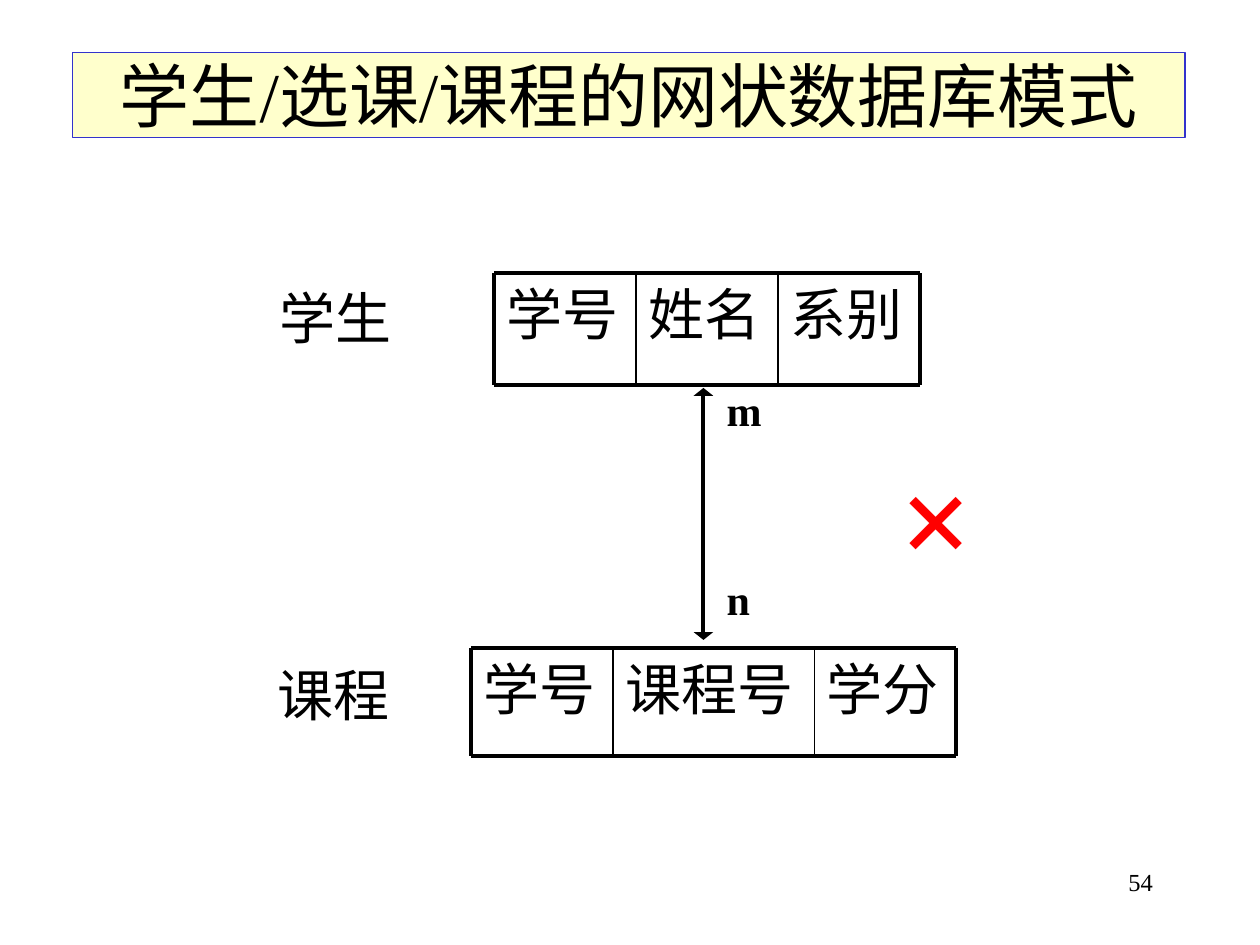
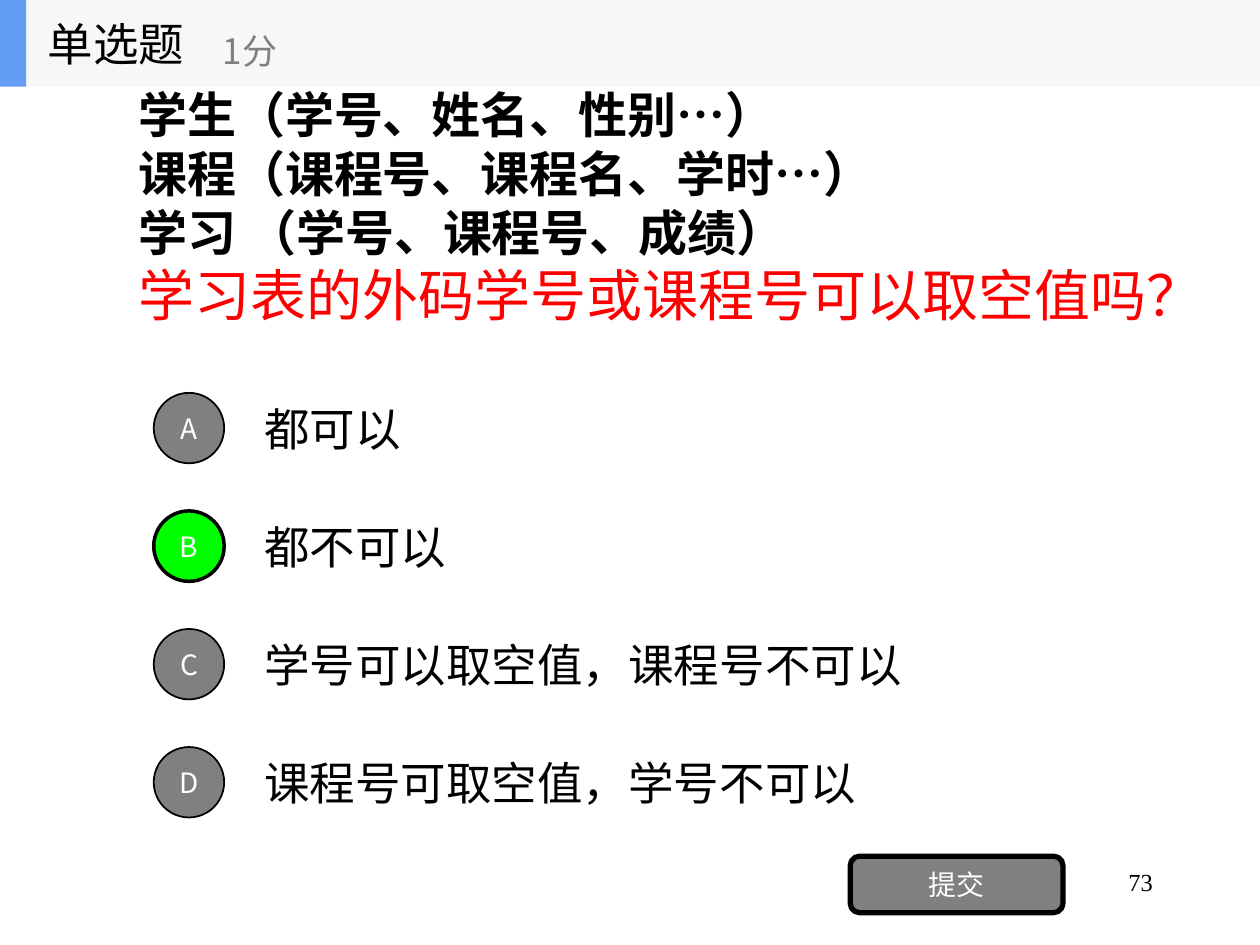
from itertools import accumulate

from lxml import etree
from pptx import Presentation
from pptx.dml.color import RGBColor
from pptx.enum.shapes import MSO_CONNECTOR as CONN, MSO_SHAPE as SHAPE
from pptx.enum.text import MSO_ANCHOR as ANCHOR, PP_ALIGN as ALIGN
from pptx.oxml.ns import qn
from pptx.util import Cm, Pt

SERIF = "Times New Roman"
SANS = "Noto Sans CJK SC"
BLACK, WHITE, GREY, RED, GREEN = "000000", "FFFFFF", "808080", "FF0000", "00FF00"
CREAM, INDIGO, BAND, ACCENT = "FFFFCC", "3333CC", "F6F7F8", "639EF4"
LINE_HEIGHT = 1.2


def rgb(value):
    return RGBColor.from_string(value)


class Deck:
    def __init__(self):
        self.prs = Presentation()
        self.prs.slide_width, self.prs.slide_height = Cm(25.4), Cm(19.05)
        self.s = None

    def slide(self, number):
        self.s = self.prs.slides.add_slide(self.prs.slide_layouts[6])
        self.text((18.21, 17.35, 5.28, 1.27), number, 14, align=ALIGN.RIGHT)

    def style(self, p, text, size, font=SERIF, color=BLACK, bold=False, align=ALIGN.LEFT):
        p.text = text
        p.alignment = align
        p.line_spacing = Pt(round(size * LINE_HEIGHT, 1))
        f = p.font
        f.size, f.name, f.bold = Pt(size), font, bold
        f.color.rgb = rgb(color)
        defaults = p._p.pPr.find(qn("a:defRPr"))
        etree.SubElement(defaults, qn("a:ea"), typeface=SANS)

    def frame(self, sp, anchor, inset):
        tf = sp.text_frame
        tf.word_wrap = True
        tf.vertical_anchor = anchor
        if not inset:
            tf.margin_left = tf.margin_right = tf.margin_top = tf.margin_bottom = 0
        return tf

    def text(self, box, text, size, anchor=ANCHOR.TOP, inset=True, **look):
        sp = self.s.shapes.add_textbox(*map(Cm, box))
        tf = self.frame(sp, anchor, inset)
        self.style(tf.paragraphs[0], text, size, **look)
        return tf

    def add_line(self, tf, text, size, **look):
        self.style(tf.add_paragraph(), text, size, **look)

    def shape(self, kind, box, fill, line=None, width=1):
        sp = self.s.shapes.add_shape(kind, *map(Cm, box))
        sp.shadow.inherit = False
        sp.fill.solid()
        sp.fill.fore_color.rgb = rgb(fill)
        if line:
            sp.line.color.rgb = rgb(line)
            sp.line.width = Pt(width)
        else:
            sp.line.fill.background()
        return sp

    def title(self, text):
        sp = self.shape(SHAPE.RECTANGLE, (1.46, 1.06, 22.43, 1.72), CREAM, INDIGO, 0.75)
        tf = self.frame(sp, ANCHOR.TOP, False)
        self.style(tf.paragraphs[0], text, 40, align=ALIGN.CENTER)

    def button(self, kind, box, text, fill=GREY, width=1):
        sp = self.shape(kind, box, fill, BLACK, width)
        tf = self.frame(sp, ANCHOR.MIDDLE, False)
        self.style(tf.paragraphs[0], text, 16, font=SANS, color=WHITE, align=ALIGN.CENTER)

    def rule(self, x1, y1, x2, y2, width=2.25):
        c = self.s.shapes.add_connector(CONN.STRAIGHT, Cm(x1), Cm(y1), Cm(x2), Cm(y2))
        c.line.color.rgb = rgb(BLACK)
        c.line.width = Pt(width)
        etree.SubElement(c._element.spPr, qn("a:effectLst"))
        return c

    def double_arrow(self, x, top, bottom):
        ln = self.rule(x, top, x, bottom).line._get_or_add_ln()
        for end in ("headEnd", "tailEnd"):
            etree.SubElement(ln, qn(f"a:{end}"), type="triangle", w="lg", len="sm")

    def record(self, left, top, height, fields):
        edges = list(accumulate((w for _, w in fields), initial=left))
        right, bottom = edges[-1], top + height
        for (name, width), x in zip(fields, edges):
            self.text((x, top, width, height), name, 32)
        for y in (top, bottom):
            self.rule(left, y, right, y)
        for x in edges:
            self.rule(x, top, x, bottom, 2.25 if x in (left, right) else 1)

    def question_header(self, kind, points):
        height = 1.75
        self.shape(SHAPE.RECTANGLE, (0, 0, 25.4, height), BAND)
        self.shape(SHAPE.RECTANGLE, (0, 0, 0.53, height), ACCENT)
        self.text((0.71, 0, 5.28, height), kind, 26, ANCHOR.MIDDLE, font=SANS)
        self.text((4.24, 0.3, 6.35, 1.42), points, 20, ANCHOR.MIDDLE, font=SANS, color=GREY)

    def options(self, choices, answer):
        top, pitch, height, circle = 7.74, 2.38, 1.78, 1.42
        for i, (letter, choice) in enumerate(zip("ABCD", choices)):
            y = top + i * pitch
            right = letter == answer
            self.text((5.08, y, 17.78, height), choice, 26, ANCHOR.MIDDLE, font=SANS)
            self.button(SHAPE.OVAL, (3.1, y + (height - circle) / 2, circle, circle), letter,
                        GREEN if right else GREY, 2 if right else 1)


def network_schema(deck):
    deck.slide("54")
    deck.title("学生/选课/课程的网状数据库模式")
    for box, name in (((5.5, 5.72, 2.54, 1.35), "学生"), ((5.28, 13.31, 2.87, 1.35), "课程")):
        deck.text(box, name, 32, inset=False, align=ALIGN.CENTER)
    deck.record(9.96, 5.51, 2.26, [("学号", 2.86), ("姓名", 2.86), ("系别", 2.86)])
    deck.record(9.5, 13.06, 2.18, [("学号", 2.86), ("课程号", 4.06), ("学分", 2.86)])
    deck.double_arrow(14.18, 7.82, 12.9)
    for y, count in ((7.62, "m"), (11.43, "n")):
        deck.text((14.4, y, 1.27, 1.27), count, 24, bold=True)
    deck.text((17.91, 8.74, 3.81, 3.3), "×", 72, color=RED, bold=True)


def foreign_key_question(deck):
    deck.slide("73")
    tf = deck.text((2.54, 1.19, 21.84, 5.94), "学生（学号、姓名、性别…）", 28,
                   ANCHOR.MIDDLE, bold=True)
    for relation in ("课程（课程号、课程名、学时…）", "学习 （学号、课程号、成绩）"):
        deck.add_line(tf, relation, 28, bold=True)
    deck.add_line(tf, "学习表的外码学号或课程号可以取空值吗？", 32, font=SANS, color=RED)
    deck.options(["都可以", "都不可以", "学号可以取空值，课程号不可以",
                  "课程号可取空值，学号不可以"], answer="B")
    deck.button(SHAPE.ROUNDED_RECTANGLE, (17.14, 17.26, 4.29, 1.14), "提交", width=3)
    deck.question_header("单选题", "1分")


def main():
    deck = Deck()
    network_schema(deck)
    foreign_key_question(deck)
    deck.prs.save("out.pptx")


if __name__ == "__main__":
    main()
